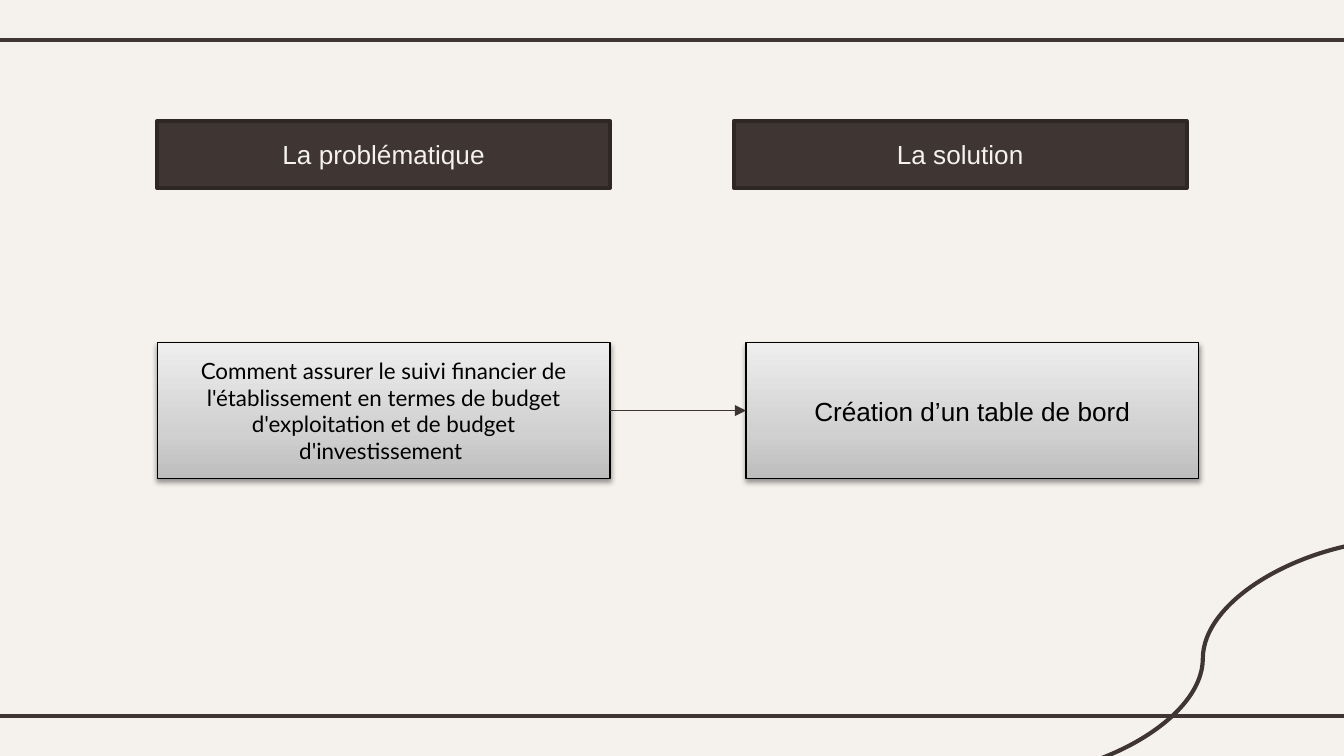
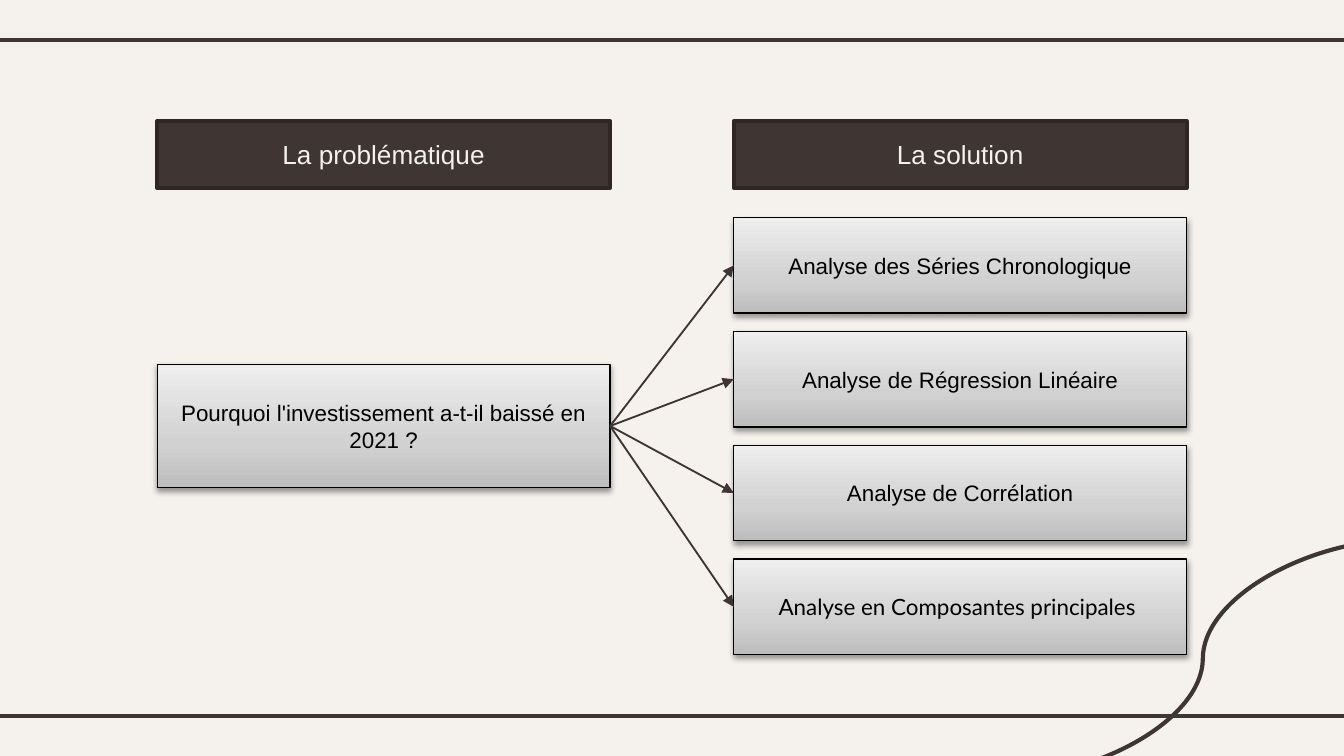
import pptx
import pptx.util
import pptx.dml.color
import pptx.enum.shapes
import pptx.enum.text
import pptx.oxml
import pptx.oxml.ns
from pptx.util import Inches

COLORS = {
    "background": "F5F2EE",
    "dark": "3F3533",
    "header_line": "2F2726",
    "arrow": "3E3432",
    "black": "000000",
}
BOX_GRADIENT = ((0, "BDBDBD"), (35, "D1D1D1"), (100, "EEEEEE"))

SLIDE_W = 10
LEFT, RIGHT = 1.17, 5.46
BOX_W = 3.37
HEADER_TOP, HEADER_H = 0.9, 0.5


def rgb(name):
    return pptx.dml.color.RGBColor.from_string(COLORS[name])


def add_xml(parent, xml):
    """Append an element written with the a: prefix."""
    ns = pptx.oxml.ns.nsdecls("a")
    parent.append(pptx.oxml.parse_xml(xml.replace(" ", f" {ns} ", 1)))


class Deck:
    def __init__(self):
        self.prs = pptx.Presentation()
        self.prs.slide_width = Inches(SLIDE_W)
        self.prs.slide_height = Inches(SLIDE_W * 9 / 16)
        fill = self.prs.slide_master.background.fill
        fill.solid()
        fill.fore_color.rgb = rgb("background")
        self.s = None

    def new_slide(self):
        """Start a slide with the rules, the corner curve and both headers."""
        self.s = self.prs.slides.add_slide(self.prs.slide_layouts[6])
        kinds = pptx.enum.shapes.MSO_CONNECTOR
        for y in (0.3, 5.33):
            self.line(kinds.STRAIGHT, (-0.08, y), (10.08, y))
        self.line(kinds.CURVE, (10.49, 4.01), (7.41, 5.79))
        self.header(LEFT, "La problématique")
        self.header(RIGHT, "La solution")

    def line(self, kind, start, end, color="dark", width=2.25):
        ends = [Inches(v) for v in (*start, *end)]
        cxn = self.s.shapes.add_connector(kind, *ends)
        cxn.line.color.rgb = rgb(color)
        cxn.line.width = pptx.util.Pt(width)
        add_xml(cxn._element.spPr, "<a:effectLst />")
        return cxn

    def arrow(self, source, target):
        """Join the right side of source to the left side of target."""
        straight = pptx.enum.shapes.MSO_CONNECTOR.STRAIGHT
        cxn = self.line(straight, (0, 0), (1, 1), "arrow", 1)
        cxn.begin_connect(source, 3)
        cxn.end_connect(target, 1)
        add_xml(cxn.line._get_or_add_ln(), '<a:tailEnd type="triangle"/>')

    def rect(self, x, y, h, text, size, font, color, line, line_width):
        sp = self.s.shapes.add_shape(
            pptx.enum.shapes.MSO_SHAPE.RECTANGLE,
            Inches(x), Inches(y), Inches(BOX_W), Inches(h))
        sp.shadow.inherit = False
        sp.line.color.rgb = rgb(line)
        sp.line.width = pptx.util.Pt(line_width)
        tf = sp.text_frame
        tf.word_wrap = True
        tf.vertical_anchor = pptx.enum.text.MSO_ANCHOR.MIDDLE
        p = tf.paragraphs[0]
        p.alignment = pptx.enum.text.PP_ALIGN.CENTER
        r = p.add_run()
        r.text = text
        r.font.name = font
        r.font.size = pptx.util.Pt(size)
        r.font.color.rgb = rgb(color)
        return sp

    def header(self, x, text):
        sp = self.rect(x, HEADER_TOP, HEADER_H, text, 14, "Arial",
                       "background", "header_line", 2)
        sp.fill.solid()
        sp.fill.fore_color.rgb = rgb("dark")

    def box(self, x, y, h, text, size=12, font="Arial"):
        """Add a grey gradient box with a soft shadow below."""
        sp = self.rect(x, y, h, text, size, font, "black", "black", 0.75)
        sp.fill.gradient()
        sp.fill.gradient_angle = 90
        spPr = sp._element.spPr
        stops = spPr.find(".//" + pptx.oxml.ns.qn("a:gsLst"))
        for stop in list(stops):
            stops.remove(stop)
        for pos, color in BOX_GRADIENT:
            add_xml(stops, f'<a:gs pos="{pos * 1000}">'
                           f'<a:srgbClr val="{color}"/></a:gs>')
        add_xml(spPr.find(pptx.oxml.ns.qn("a:effectLst")),
                f'<a:outerShdw blurRad="{pptx.util.Pt(3.1)}" '
                f'dist="{pptx.util.Pt(1.6)}" dir="5400000" rotWithShape="0">'
                f'<a:srgbClr val="{COLORS["black"]}">'
                '<a:alpha val="38000"/></a:srgbClr></a:outerShdw>')
        return sp


def dashboard_slide(deck):
    deck.new_slide()
    top, height = 2.55, 1.01
    problem = deck.box(
        LEFT, top, height,
        "Comment assurer le suivi financier de l'établissement en termes de "
        "budget d'exploitation et de budget d'investissement ", font="Lato")
    solution = deck.box(5.55, top, height, "Création d’un table de bord", 14)
    deck.arrow(problem, solution)


def analysis_slide(deck):
    deck.new_slide()
    problem = deck.box(LEFT, 2.71, 0.92,
                       "Pourquoi l'investissement a-t-il baissé en 2021 ?")
    analyses = (
        ("Analyse des Séries Chronologique", "Arial"),
        ("Analyse de Régression Linéaire", "Arial"),
        ("Analyse de Corrélation", "Arial"),
        ("Analyse en Composantes principales ", "Lato"),
    )
    first, last = 1.62, 4.16
    pitch = (last - first) / (len(analyses) - 1)
    boxes = [deck.box(RIGHT, first + i * pitch, 0.71, text, font=font)
             for i, (text, font) in enumerate(analyses)]
    for box in boxes:
        deck.arrow(problem, box)


def main():
    deck = Deck()
    dashboard_slide(deck)
    analysis_slide(deck)
    deck.prs.save("out.pptx")


if __name__ == "__main__":
    main()
